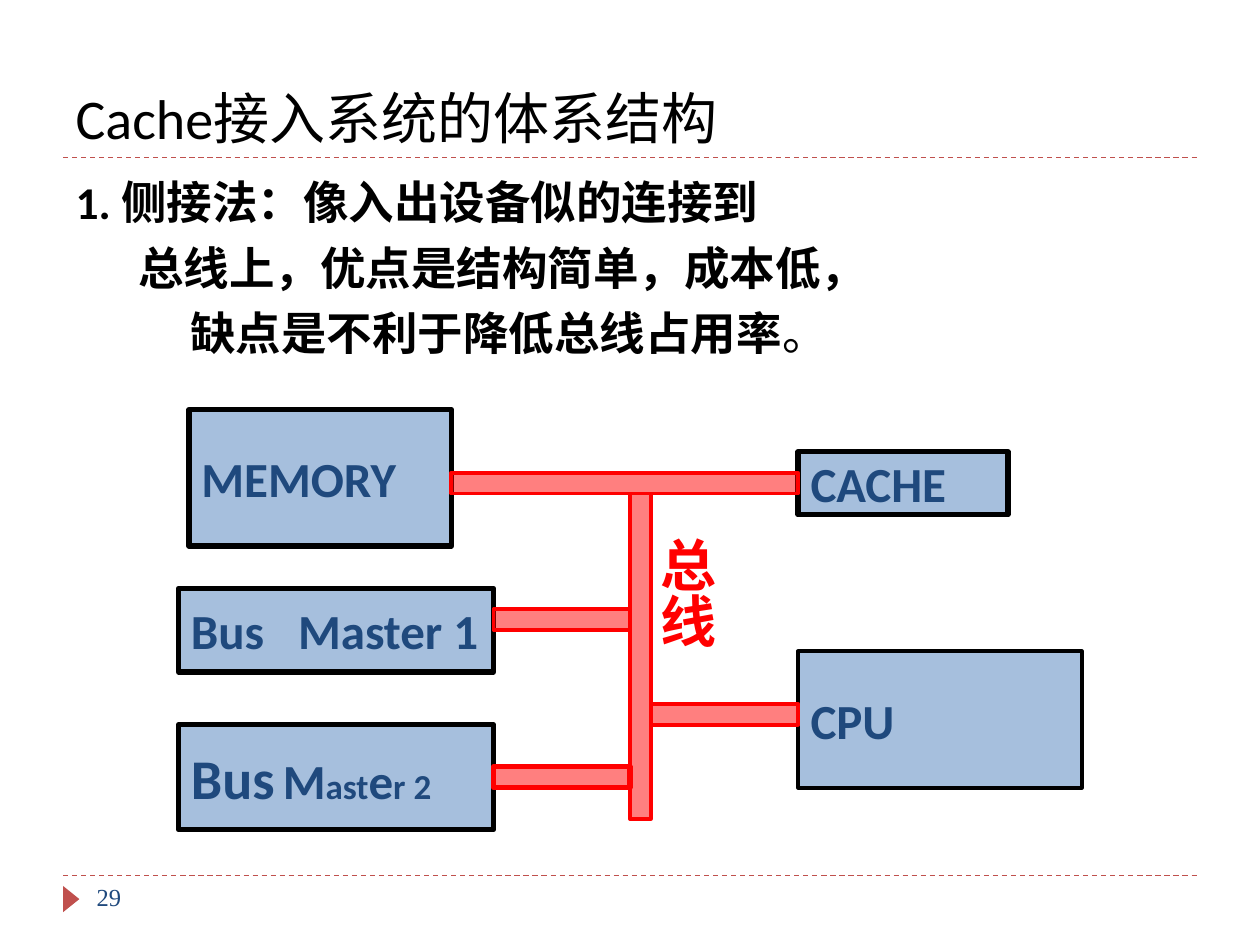
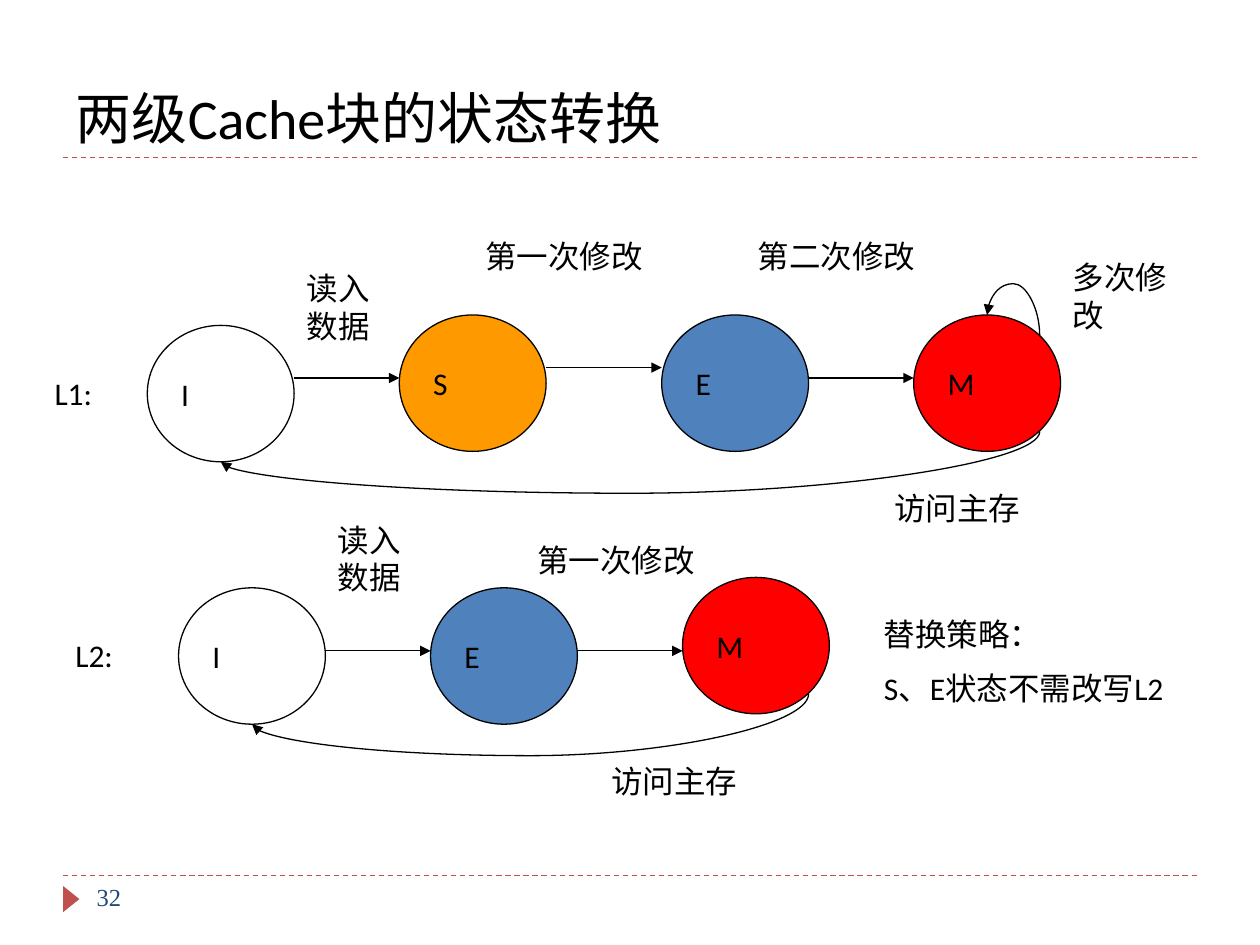
"""Builds two slides on how a cache joins a system and how its blocks change state."""
import pptx
import pptx.dml.color
import pptx.enum.dml
import pptx.enum.shapes
import pptx.enum.text
import pptx.oxml.ns
import pptx.util
from lxml import etree

Cm, Pt = pptx.util.Cm, pptx.util.Pt
SHAPE = pptx.enum.shapes.MSO_SHAPE
CONNECTOR = pptx.enum.shapes.MSO_CONNECTOR
ANCHOR = pptx.enum.text.MSO_ANCHOR
AUTO_SIZE = pptx.enum.text.MSO_AUTO_SIZE
qn = pptx.oxml.ns.qn

BLACK, WHITE, RED, ORANGE = "000000", "FFFFFF", "FF0000", "FF9900"
BLUE, NAVY, ACCENT = "4F81BD", "1F497D", "C0504D"
STATE_COLORS = {"I": WHITE, "S": ORANGE, "E": BLUE, "M": RED}
STATE_W, STATE_H = 2.96, 2.75
BAR = 0.42


def rgb(hex_color):
    """Turn a hex string into a colour."""
    return pptx.dml.color.RGBColor.from_string(hex_color)


def sub(parent, tag, **attrs):
    """Append a drawing element to its parent."""
    return etree.SubElement(parent, qn(tag), attrs)


def style(p, size, color=BLACK, bold=False, name="Calibri"):
    """Set the font and left alignment of a paragraph."""
    p.alignment = pptx.enum.text.PP_ALIGN.LEFT
    font = p.font
    font.name, font.size, font.bold = name, Pt(size), bold
    font.color.rgb = rgb(color)


def place(sp, x, y, w, h):
    """Move a shape to a box given in centimetres."""
    sp.left, sp.top, sp.width, sp.height = map(Cm, (x, y, w, h))


def add_text(sl, x, y, w, h, lines, size=18, **font):
    """Add a wrapping text box with one paragraph per line."""
    tf = sl.shapes.add_textbox(*map(Cm, (x, y, w, h))).text_frame
    tf.word_wrap = True
    tf.text = "\n".join(lines)
    for i, p in enumerate(tf.paragraphs):
        if i:
            p.space_before = Pt(9)
        style(p, size, **font)
    return tf


def add_box(sl, kind, x, y, w, h, fill, line=None, width=0.75, alpha=None):
    """Add a preset shape with a plain fill and outline."""
    sp = sl.shapes.add_shape(kind, *map(Cm, (x, y, w, h)))
    sp.shadow.inherit = False
    sp.fill.solid()
    sp.fill.fore_color.rgb = rgb(fill)
    if alpha:
        color = next(sp.element.spPr.iter(qn("a:srgbClr")))
        sub(color, "a:alpha", val=str(alpha * 1000))
    if line:
        sp.line.color.rgb = rgb(line)
        sp.line.width = Pt(width)
    else:
        sp.line.fill.background()
    return sp


def label(sp):
    """Prepare a shape for unwrapped text and return its first paragraph."""
    tf = sp.text_frame
    tf.word_wrap = False
    tf.vertical_anchor = ANCHOR.MIDDLE
    return tf.paragraphs[0]


def add_line(sl, x1, y1, x2, y2, color=BLACK, kind=CONNECTOR.STRAIGHT, arrow=True):
    """Add a thin connector, with an arrowhead or dashed."""
    cn = sl.shapes.add_connector(kind, *map(Cm, (x1, y1, x2, y2)))
    cn.line.color.rgb = rgb(color)
    cn.line.width = Pt(0.75)
    if arrow:
        sub(cn.line._get_or_add_ln(), "a:tailEnd", type="triangle")
    else:
        cn.line.dash_style = pptx.enum.dml.MSO_LINE.DASH
    sub(cn.element.spPr, "a:effectLst")
    return cn


def add_loop(sl, x1, y1, x2, y2, bulge):
    """Add a curved arrow that leaves and arrives vertically."""
    cx, cy = (x1 + x2) / 2, (y1 + y2) / 2
    dy, half = (y2 - y1) / 2, abs(x2 - x1) / 2
    cn = add_line(sl, cx - dy, cy - half, cx + dy, cy + half, kind=CONNECTOR.CURVE)
    spPr = cn.element.spPr
    spPr.find(qn("a:xfrm")).set("rot", "5400000")
    guides = spPr.find(qn("a:prstGeom")).find(qn("a:avLst"))
    sub(guides, "a:gd", name="adj1", fmla=f"val {round(bulge * 100000)}")


def add_frame(prs, sl):
    """Draw the dashed rules and page marker and move them to the master."""
    rules = [add_line(sl, 1.27, y, 24.13, y, ACCENT, arrow=False) for y in (3.18, 17.65)]
    marker = add_box(sl, SHAPE.ISOSCELES_TRIANGLE, 1.17, 17.96, 0.53, 0.33, ACCENT)
    marker.rotation = 90
    for sp in rules + [marker]:
        prs.slide_master.shapes.element.append(sp.element)


def add_slide(prs, layout, title, number):
    """Add a slide with its title and page number."""
    sl = prs.slides.add_slide(prs.slide_layouts[layout])
    sp = sl.shapes.title
    place(sp, 1.27, 0.43, 22.86, 2.74)
    tf = sp.text_frame
    tf.text = title
    tf.vertical_anchor = ANCHOR.BOTTOM
    tf.auto_size = AUTO_SIZE.NONE
    style(tf.paragraphs[0], 32)
    add_text(sl, 1.7, 17.65, 5.51, 1.02, [number], 14, color=NAVY, name="Times New Roman")
    return sl


def fill_body(sl, x, y, w, h):
    """Write the description of the side connection."""
    sp = sl.placeholders[1]
    place(sp, x, y, w, h)
    tf = sp.text_frame
    tf.auto_size = AUTO_SIZE.NONE
    lines = (("1. 侧接法：像入出设备似的连接到", 0),
             ("总线上，优点是结构简单，成本低，", 1.26),
             ("缺点是不利于降低总线占用率", 2.31))
    for i, (text, indent) in enumerate(lines):
        p = tf.add_paragraph() if i else tf.paragraphs[0]
        p.add_run().text = text
        pPr = p._p.get_or_add_pPr()
        pPr.set("marL", str(Cm(indent)))
        pPr.set("indent", "0")
        sub(pPr, "a:buNone")
        p.space_before = Pt(6 if i else 0)
        style(p, 26, bold=True)
    r = p.add_run()
    r.text = "。"
    r.font.bold = False


def bus_diagram(sl, x, y):
    """Draw the units and the bus that joins them."""
    units = (("CPU", 12.49, 4.87, 5.72, 2.75, 2.25),
             ("MEMORY", 0.21, 0, 5.29, 2.75, 3),
             ("CACHE", 12.49, 0.85, 4.23, 1.27, 3),
             ("Bus\tMaster 1", 0, 3.6, 6.35, 1.69, 3),
             ("", 0, 6.35, 6.35, 2.12, 3))
    for name, dx, dy, w, h, width in units:
        sp = add_box(sl, SHAPE.RECTANGLE, x + dx, y + dy, w, h, BLUE, BLACK, width, 50)
        p = label(sp)
        if "\t" in name:
            tabs = sub(p._p.get_or_add_pPr(), "a:tabLst")
            sub(tabs, "a:tab", pos=str(Cm(2.16)), algn="l")
        if name:
            p.add_run().text = name
        style(p, 28, NAVY, True)
    for text, size in (("Bus", 32), (" ", 20), ("M", 28), ("ast", 20), ("e", 28), ("r 2", 20)):
        r = p.add_run()
        r.text = text
        r.font.size = Pt(size)

    bars = ((5.5, 1.27, 6.99, BAR, 2.25), (9.1, 1.69, BAR, 6.56, 2.25),
            (6.35, 4.02, 2.75, BAR, 2.25), (6.35, 7.2, 2.75, BAR, 3),
            (9.53, 5.93, 2.96, BAR, 2.25))
    for dx, dy, w, h, width in bars:
        add_box(sl, SHAPE.RECTANGLE, x + dx, y + dy, w, h, RED, RED, width, 50)

    tf = add_text(sl, x + 9.31, y + 2.33, 1.85, 2.54, ["总线"], 32, color=RED, bold=True)
    tf.word_wrap = False
    tf.auto_size = AUTO_SIZE.SHAPE_TO_FIT_TEXT
    tf.vertical_anchor = ANCHOR.MIDDLE
    tf._txBody.bodyPr.set("vert", "eaVert")


def state_chain(sl, x, y, states, arrow_ys, notes):
    """Draw a row of states, the arrows between them and their notes."""
    for name, dx, dy in states:
        sp = add_box(sl, SHAPE.OVAL, x + dx, y + dy, STATE_W, STATE_H,
                     STATE_COLORS[name], BLACK)
        p = label(sp)
        p.add_run().text = name
        style(p, 18)
    for (_, left, _), (_, right, _), dy in zip(states, states[1:], arrow_ys):
        add_line(sl, x + left + STATE_W, y + dy, x + right, y + dy)
    (_, first_x, first_y), (_, last_x, last_y) = states[0], states[-1]
    add_loop(sl, x + last_x + 2.54, y + last_y + 2.35,
             x + first_x + STATE_W / 2, y + first_y + STATE_H, 2.04)
    for text, dx, dy, w, h in notes:
        add_text(sl, x + dx, y + dy, w, h, [text])


def main():
    """Build and save both slides."""
    prs = pptx.Presentation()
    prs.slide_width, prs.slide_height = Cm(25.4), Cm(19.05)

    sl = add_slide(prs, 1, "Cache接入系统的体系结构", "29")
    add_frame(prs, sl)
    fill_body(sl, 1.27, 3.39, 22.86, 4.34)
    bus_diagram(sl, 3.6, 8.26)

    sl = add_slide(prs, 5, "两级Cache块的状态转换", "32")
    x, y = 0.85, 4.66
    states = (("I", 2.12, 1.9), ("S", 7.2, 1.69), ("E", 12.49, 1.69), ("M", 17.57, 1.69))
    state_chain(sl, x, y, states, (2.96, 2.75, 2.96),
                (("L1:", 0, 2.75, 1.69, 1.27),
                 ("读入数据", 5.08, 0.64, 2.33, 2.28),
                 ("第一次修改", 8.68, 0, 5.29, 1.27),
                 ("第二次修改", 14.18, 0, 5.29, 1.27),
                 ("多次修改", 20.53, 0.42, 2.96, 2.28),
                 ("访问主存", 16.93, 5.08, 4.23, 1.27)))
    _, m_x, m_y = states[-1]
    add_loop(sl, x + m_x + 2.54, y + m_y + 0.4, x + m_x + STATE_W / 2, y + m_y, 2.58)
    state_chain(sl, 1.27, 10.37,
                (("I", 2.33, 1.48), ("E", 7.41, 1.48), ("M", 12.49, 1.27)), (2.75, 2.75),
                (("L2:", 0, 2.33, 1.69, 1.27),
                 ("读入数据", 5.29, 0, 2.33, 2.28),
                 ("第一次修改", 9.31, 0.42, 5.29, 1.27),
                 ("访问主存", 10.8, 4.87, 4.87, 1.27)))
    add_text(sl, 17.57, 12.28, 7.83, 3.81, ["替换策略：", "S、E状态不需改写L2"])
    prs.save("out.pptx")


if __name__ == "__main__":
    main()
